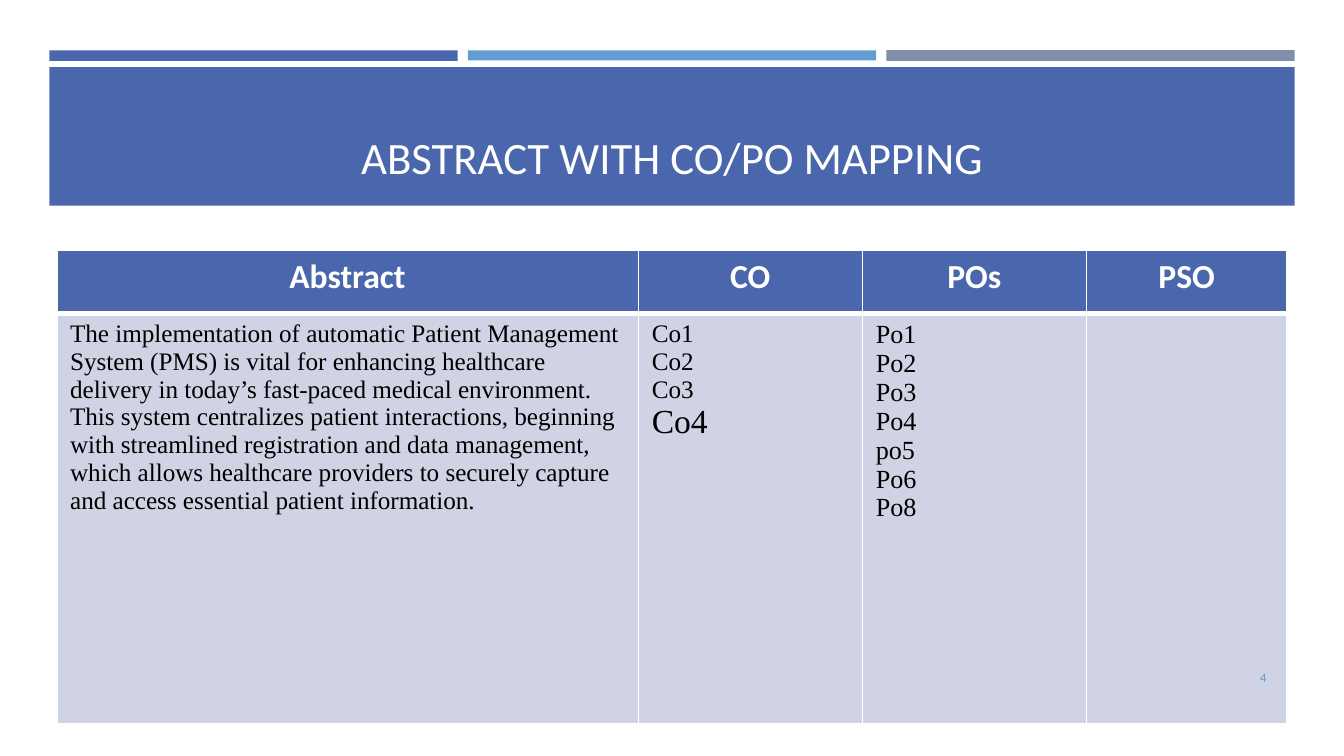
"""Build the abstract slide with its CO/PO mapping table."""
import pptx
import pptx.dml.color
import pptx.enum.shapes
import pptx.enum.text
import pptx.oxml
import pptx.util
from lxml import etree

Pt = pptx.util.Pt
RGB = pptx.dml.color.RGBColor.from_string
ALIGN = pptx.enum.text.PP_ALIGN
ANCHOR = pptx.enum.text.MSO_ANCHOR
COLORS = {"blue": "4A66AC", "sky": "629DD1", "slate": "7F8FA9",
          "body": "D0D3E3", "white": "FFFFFF", "black": "000000"}


def add_text(p, text, size, font, color, align, bold=False):
    p.alignment = align
    r = p.add_run()
    r.text = text
    r.font.size = Pt(size)
    r.font.name = font
    r.font.bold = bold
    r.font.color.rgb = RGB(COLORS[color])


def add_border(cell, side, width):
    tag = pptx.oxml.ns.qn
    ln = etree.Element(tag("a:ln" + side), w=str(Pt(width)))
    fill = etree.SubElement(ln, tag("a:solidFill"))
    etree.SubElement(fill, tag("a:srgbClr"), val=COLORS["white"])
    cell._tc.get_or_add_tcPr().insert("LRTB".index(side), ln)


prs = pptx.Presentation()
prs.slide_width, prs.slide_height = Pt(720), Pt(405)
s = prs.slides.add_slide(prs.slide_layouts[6])

bars = [(26.4, 27, 218.8, 5.6, "blue"), (250.6, 27, 218.8, 5.4, "sky"),
        (474.8, 26.8, 218.8, 5.8, "slate"), (26.4, 36, 667.2, 74.2, "blue")]
for x, y, w, h, color in bars:
    sp = s.shapes.add_shape(pptx.enum.shapes.MSO_SHAPE.RECTANGLE, Pt(x), Pt(y), Pt(w), Pt(h))
    sp.shadow.inherit = False
    sp.fill.solid()
    sp.fill.fore_color.rgb = RGB(COLORS[color])
    sp.line.fill.background()

columns = [
    ("Abstract", 311.6, [(
        "The implementation of automatic Patient Management System (PMS) is vital for "
        "enhancing healthcare delivery in today’s fast-paced medical environment. "
        "This system centralizes patient interactions, beginning with streamlined "
        "registration and data management, which allows healthcare providers to "
        "securely capture and access essential patient information.", 13.5)]),
    ("CO", 120, [("Co1", 13.5), ("Co2", 13.5), ("Co3", 13.5), ("Co4", 18)]),
    ("POs", 120, [(t, 14) for t in ("Po1", "Po2", "Po3", "Po4", "po5", "Po6", "Po8")]),
    ("PSO", 107.6, []),
]
table = s.shapes.add_table(2, len(columns), Pt(30.4), Pt(133.8), Pt(659.2), Pt(254.2)).table
table.rows[0].height, table.rows[1].height = Pt(34.2), Pt(220)
for i, (heading, width, lines) in enumerate(columns):
    table.columns[i].width = Pt(width)
    head, body = table.cell(0, i), table.cell(1, i)
    for cell, color, top, bottom in ((head, "blue", 1, 3), (body, "body", 3, 1)):
        cell.fill.solid()
        cell.fill.fore_color.rgb = RGB(COLORS[color])
        for side, line_width in zip("LRTB", (1, 1, top, bottom)):
            add_border(cell, side, line_width)
    add_text(head.text_frame.paragraphs[0], heading, 18, "Calibri", "white", ALIGN.CENTER, True)
    for n, (text, size) in enumerate(lines):
        tf = body.text_frame
        p = tf.add_paragraph() if n else tf.paragraphs[0]
        add_text(p, text, size, "Times New Roman", "black", ALIGN.LEFT)

labels = [
    (34.4, 43.2, 651.2, 58.4, "ABSTRACT WITH CO/PO MAPPING", 24, "white", ALIGN.CENTER, ANCHOR.BOTTOM),
    (623.6, 352, 62, 21.6, "4", 6.8, "sky", ALIGN.RIGHT, ANCHOR.MIDDLE),
]
for x, y, w, h, text, size, color, align, anchor in labels:
    tf = s.shapes.add_textbox(Pt(x), Pt(y), Pt(w), Pt(h)).text_frame
    tf.word_wrap = True
    tf.vertical_anchor = anchor
    add_text(tf.paragraphs[0], text, size, "Calibri", color, align)

prs.save("out.pptx")
